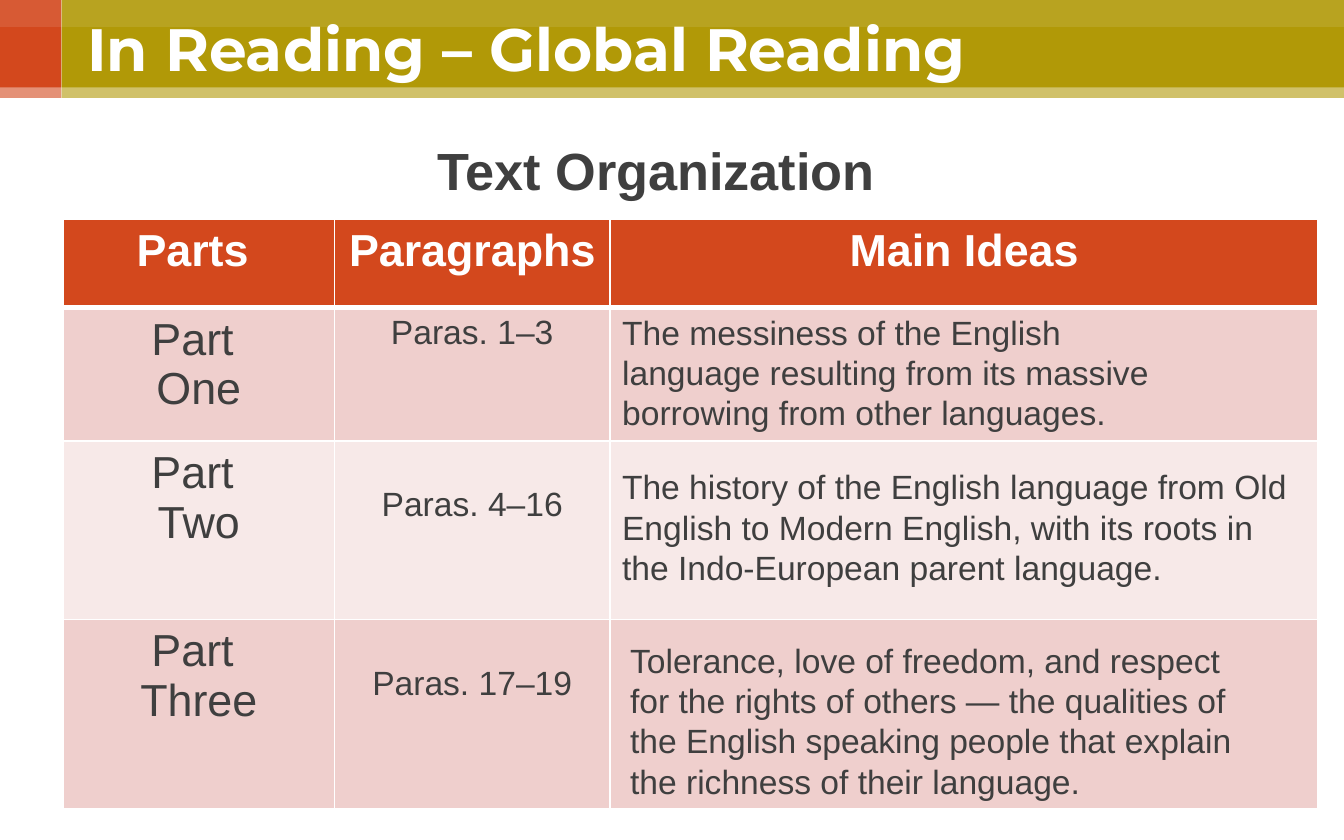
from pptx import Presentation
from pptx.dml.color import RGBColor
from pptx.enum.shapes import MSO_SHAPE
from pptx.enum.text import MSO_ANCHOR, PP_ALIGN
from pptx.oxml import parse_xml
from pptx.oxml.ns import nsdecls, qn
from pptx.oxml.xmlchemy import OxmlElement
from pptx.util import Pt

WHITE = RGBColor(0xFF, 0xFF, 0xFF)
RED = RGBColor(0xD3, 0x48, 0x1D)
OLIVE = RGBColor(0xB1, 0x99, 0x07)
DARK = RGBColor(0x3F, 0x3F, 0x3F)
PINK = RGBColor(0xEF, 0xCF, 0xCD)
PALE_PINK = RGBColor(0xF7, 0xE9, 0xE8)

TITLE = "In Reading – Global Reading"
HEADING = "Text Organization"
HEADERS = ["Parts ", "Paragraphs ", "Main Ideas"]
PARTS = [
    (["Part ", "One"], "Paras. 1–3"),
    (["Part ", "Two"], "Paras. 4–16"),
    (["Part ", "Three"], "Paras. 17–19"),
]
# Each idea floats over its cell: text, left, top, width, height
MAIN_IDEAS = [
    ("The messiness of the English language resulting from its massive "
     "borrowing from other languages.", 326.2, 163.4, 306, 72.7),
    ("The history of the English language from Old English to Modern English, "
     "with its roots in the Indo-European parent language.", 326.2, 246.2, 374.4, 72.7),
    ("Tolerance, love of freedom, and respect for the rights of others — the "
     "qualities of the English speaking people that explain the richness of "
     "their language.", 330.5, 339.1, 345.6, 94.3),
]
# Left, top, width, height, colour, opacity in percent
BANDS = [
    (0, 0, 33, 52.5, RED, 100),
    (33, 0, 687, 52.5, OLIVE, 100),
    (0, 46.8, 720, 14.4, WHITE, 40),
    (0, 0, 720, 14.4, WHITE, 10),
]

TABLE_LEFT, TABLE_TOP = 33.8, 117.4
COLUMN_WIDTHS = [145.4, 147.6, 379.4]
ROW_HEIGHTS = [47.5, 71.3, 95.8, 101.5]
CELL_MARGIN = 3.6
LINE_18 = 20.7  # height of one 18 pt line


def add_run(paragraph, text, size, color=DARK, bold=False, font="Arial"):
    run = paragraph.add_run()
    run.text = text
    run.font.size = Pt(size)
    run.font.name = font
    run.font.bold = bold
    run.font.color.rgb = color


def add_band(shapes, left, top, width, height, color, opacity):
    band = shapes.add_shape(MSO_SHAPE.RECTANGLE, Pt(left), Pt(top), Pt(width), Pt(height))
    band.shadow.inherit = False
    band.line.fill.background()
    band.fill.solid()
    band.fill.fore_color.rgb = color
    if opacity < 100:
        alpha = OxmlElement("a:alpha")
        alpha.set("val", str(opacity * 1000))
        band.element.spPr.find(".//" + qn("a:srgbClr")).append(alpha)


def add_text_box(shapes, text, left, top, width, height, size, bold=False):
    box = shapes.add_textbox(Pt(left), Pt(top), Pt(width), Pt(height))
    box.text_frame.word_wrap = True
    paragraph = box.text_frame.paragraphs[0]
    add_run(paragraph, text, size, bold=bold)
    return paragraph


def style_cell(cell, fill, top_line, bottom_line):
    """Fill the cell and give it white borders of the given widths."""
    cell.fill.solid()
    cell.fill.fore_color.rgb = fill
    widths = {"lnL": 1, "lnR": 1, "lnT": top_line, "lnB": bottom_line}
    properties = cell._tc.get_or_add_tcPr()
    for position, (side, width) in enumerate(widths.items()):
        properties.insert(position, parse_xml(
            f'<a:{side} {nsdecls("a")} w="{Pt(width)}"><a:solidFill>'
            f'<a:srgbClr val="{WHITE}"/></a:solidFill></a:{side}>'))


def fill_cell(cell, lines, size, color=DARK, bold=False):
    for index, line in enumerate(lines):
        frame = cell.text_frame
        paragraph = frame.add_paragraph() if index else frame.paragraphs[0]
        paragraph.alignment = PP_ALIGN.CENTER
        add_run(paragraph, line, size, color, bold)


def add_parts_table(shapes):
    table = shapes.add_table(
        len(ROW_HEIGHTS), len(COLUMN_WIDTHS), Pt(TABLE_LEFT), Pt(TABLE_TOP),
        Pt(sum(COLUMN_WIDTHS)), Pt(sum(ROW_HEIGHTS))).table
    table.horz_banding = False
    for column, width in zip(table.columns, COLUMN_WIDTHS):
        column.width = Pt(width)
    for index, (row, height) in enumerate(zip(table.rows, ROW_HEIGHTS)):
        row.height = Pt(height)
        fill = RED if index == 0 else PINK if index % 2 else PALE_PINK
        for cell in row.cells:
            style_cell(cell, fill, 3 if index == 1 else 1, 3 if index == 0 else 1)

    for column, header in enumerate(HEADERS):
        fill_cell(table.cell(0, column), [header], 24, WHITE, bold=True)
    for row, (part, paragraphs) in enumerate(PARTS, start=1):
        fill_cell(table.cell(row, 0), part, 24)
        range_cell = table.cell(row, 1)
        fill_cell(range_cell, [paragraphs], 18)
        if row > 1:
            range_cell.margin_top = Pt(CELL_MARGIN + LINE_18)


def place_title(title):
    title.left, title.top, title.width, title.height = Pt(39.6), Pt(5.8), Pt(645.8), Pt(44.6)
    title.text_frame.word_wrap = True
    title.text_frame.vertical_anchor = MSO_ANCHOR.MIDDLE
    paragraph = title.text_frame.paragraphs[0]
    paragraph.alignment = PP_ALIGN.LEFT
    paragraph.line_spacing = 0.9
    add_run(paragraph, TITLE, 32, WHITE, True, "Montserrat")
    # Bring the title in front of the bands
    title.element.getparent().append(title.element)


def main():
    prs = Presentation()
    prs.slide_width, prs.slide_height = Pt(720), Pt(450)
    shapes = prs.slides.add_slide(prs.slide_layouts[5]).shapes

    for band in BANDS:
        add_band(shapes, *band)
    place_title(shapes.title)
    add_parts_table(shapes)

    heading = add_text_box(shapes, HEADING, 218.2, 60.5, 266.4, 46.8, 28, bold=True)
    heading.alignment = PP_ALIGN.CENTER
    heading.line_spacing = 1.3
    for idea in MAIN_IDEAS:
        add_text_box(shapes, *idea, size=18)

    prs.save("out.pptx")


if __name__ == "__main__":
    main()
